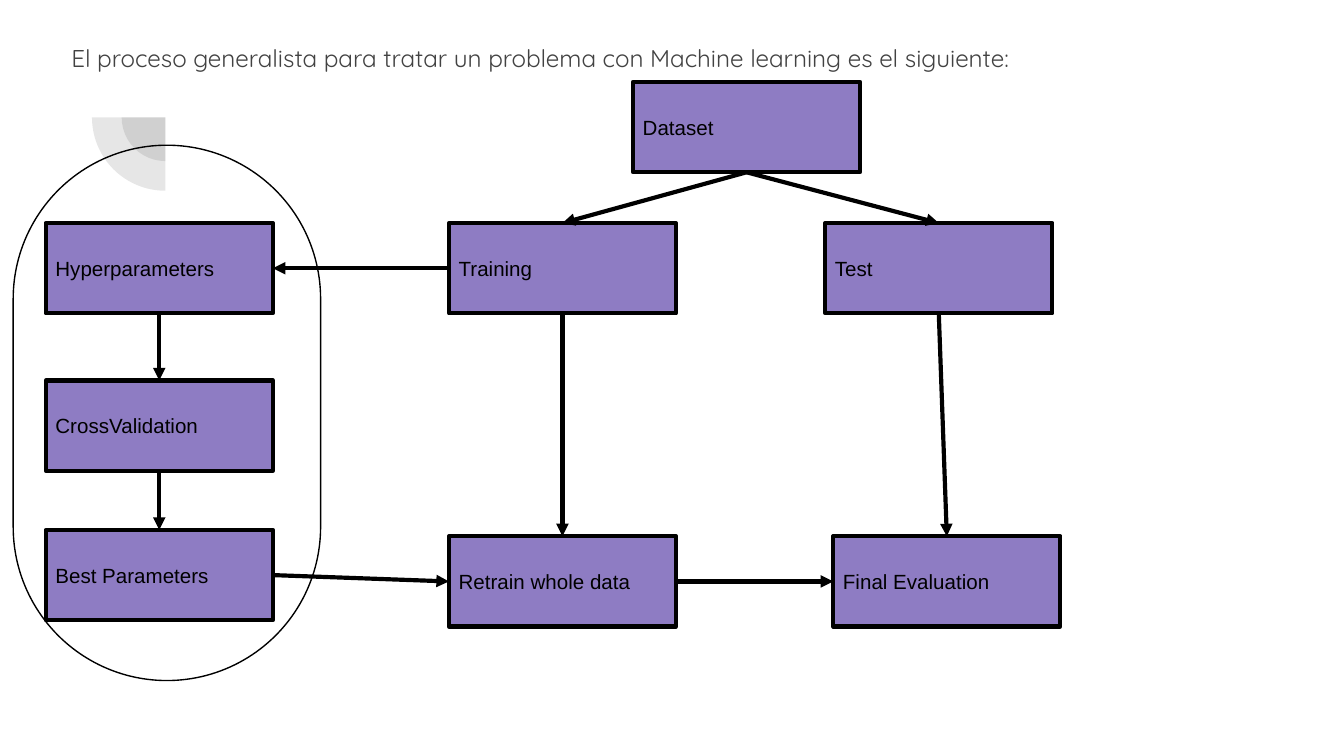
from dataclasses import dataclass

from lxml import etree
from pptx import Presentation
from pptx.dml.color import RGBColor
from pptx.enum.shapes import MSO_CONNECTOR, MSO_SHAPE
from pptx.enum.text import MSO_ANCHOR, MSO_AUTO_SIZE, PP_ALIGN
from pptx.oxml.ns import qn
from pptx.util import Pt

RECTANGLE = MSO_SHAPE.RECTANGLE
ROUNDED = MSO_SHAPE.ROUNDED_RECTANGLE
PIE = MSO_SHAPE.PIE
STRAIGHT = MSO_CONNECTOR.STRAIGHT
TOP, MIDDLE = MSO_ANCHOR.TOP, MSO_ANCHOR.MIDDLE
NO_AUTOFIT = MSO_AUTO_SIZE.NONE
LEFT = PP_ALIGN.LEFT
SITE_TOP, SITE_LEFT, SITE_BOTTOM, SITE_RIGHT = range(4)


@dataclass(frozen=True)
class Theme:
    ink: RGBColor = RGBColor(0x00, 0x00, 0x00)
    title: RGBColor = RGBColor(0x42, 0x42, 0x42)
    step: RGBColor = RGBColor(0x8E, 0x7C, 0xC3)
    title_font: str = "Quicksand"
    step_font: str = "Arial"
    title_size: Pt = Pt(13)
    step_size: Pt = Pt(11)
    thin: Pt = Pt(0.75)
    thick: Pt = Pt(2.25)


THEME = Theme()
TITLE = "El proceso generalista para tratar un problema con Machine learning es el siguiente:"
STEP_WIDTH, STEP_HEIGHT = 121.7, 48.4
TUNING_X, TRAINING_X = 24.5, 240.5
SPLIT_Y, FINAL_Y = 119.5, 287.3
STEPS = {
    "Dataset": (339.1, 43.9),
    "Training": (TRAINING_X, SPLIT_Y),
    "Hyperparameters": (TUNING_X, SPLIT_Y),
    "CrossValidation": (TUNING_X, 203.8),
    "Best Parameters": (TUNING_X, 283.9),
    "Retrain whole data": (TRAINING_X, FINAL_Y),
    "Test": (442.1, SPLIT_Y),
    "Final Evaluation": (446.4, FINAL_Y),
}
DOWN = (SITE_BOTTOM, SITE_TOP)
RIGHTWARD = (SITE_RIGHT, SITE_LEFT)
LEFTWARD = (SITE_LEFT, SITE_RIGHT)
ARROWS = [
    ("Dataset", "Test", DOWN),
    ("Dataset", "Training", DOWN),
    ("Training", "Hyperparameters", LEFTWARD),
    ("Training", "Retrain whole data", DOWN),
    ("Hyperparameters", "CrossValidation", DOWN),
    ("CrossValidation", "Best Parameters", DOWN),
    ("Best Parameters", "Retrain whole data", RIGHTWARD),
    ("Test", "Final Evaluation", DOWN),
    ("Retrain whole data", "Final Evaluation", RIGHTWARD),
]


def apply(target, values):
    for name, value in values.items():
        setattr(target, name, value)


def write_text(shape, text, margin, anchor, font):
    frame = shape.text_frame
    frame.text = text
    sides = ("margin_left", "margin_top", "margin_right", "margin_bottom")
    apply(frame, dict.fromkeys(sides, Pt(margin)))
    apply(frame, {"word_wrap": True, "auto_size": NO_AUTOFIT, "vertical_anchor": anchor})
    para = frame.paragraphs[0]
    para.alignment = LEFT
    span = para.runs[0]
    span.font.color.rgb = font["color"]
    apply(span.font, {"name": font["name"], "size": font["size"]})
    return para


def place_title(page):
    title = page.shapes.title
    apply(title, {"left": Pt(31), "top": Pt(13.7), "width": Pt(528.5), "height": Pt(27.4)})
    font = {"name": THEME.title_font, "size": THEME.title_size, "color": THEME.title}
    para = write_text(title, TITLE, 7.2, TOP, font)
    para.line_spacing = 1.15


def add_plain_shape(page, kind, left, top, width, height):
    shape = page.shapes.add_shape(kind, Pt(left), Pt(top), Pt(width), Pt(height))
    shape.shadow.inherit = False
    return shape


def add_quarter(page, center_x, center_y, size):
    quarter = add_plain_shape(page, PIE, center_x - size / 2, center_y - size / 2, size, size)
    quarter.adjustments[0] = 108
    quarter.adjustments[1] = 162
    quarter.rotation = 270
    quarter.fill.solid()
    quarter.fill.fore_color.rgb = THEME.title
    quarter.line.fill.background()
    color = quarter.fill._xPr.find(".//" + qn("a:srgbClr"))
    etree.SubElement(color, qn("a:alpha"), val="13000")


def outline(shape, width):
    shape.line.color.rgb = THEME.ink
    shape.line.width = width


def add_tuning_group(page):
    group = add_plain_shape(page, ROUNDED, 7.1, 77.8, 164.7, 286.8)
    group.adjustments[0] = 0.5
    group.fill.background()
    outline(group, THEME.thin)


def add_step(page, text, left, top):
    box = add_plain_shape(page, RECTANGLE, left, top, STEP_WIDTH, STEP_HEIGHT)
    box.fill.solid()
    box.fill.fore_color.rgb = THEME.step
    outline(box, THEME.thick)
    font = {"name": THEME.step_font, "size": THEME.step_size, "color": THEME.ink}
    write_text(box, text, 5.2, MIDDLE, font)
    return box


def add_arrow(page, source, target, sites):
    arrow = page.shapes.add_connector(STRAIGHT, 0, 0, 0, 0)
    arrow.begin_connect(source, sites[0])
    arrow.end_connect(target, sites[1])
    outline(arrow, THEME.thick)
    etree.SubElement(arrow.line._get_or_add_ln(), qn("a:tailEnd"), type="triangle")
    etree.SubElement(arrow._element.spPr, qn("a:effectLst"))


def main():
    deck = Presentation()
    apply(deck, {"slide_width": Pt(720), "slide_height": Pt(405)})
    page = deck.slides.add_slide(deck.slide_layouts[5])
    place_title(page)
    for size in (46.8, 78.6):
        add_quarter(page, 88.6, 62.9, size)
    add_tuning_group(page)
    boxes = {text: add_step(page, text, *corner) for text, corner in STEPS.items()}
    for source, target, sites in ARROWS:
        add_arrow(page, boxes[source], boxes[target], sites)
    deck.save("out.pptx")


if __name__ == "__main__":
    main()
